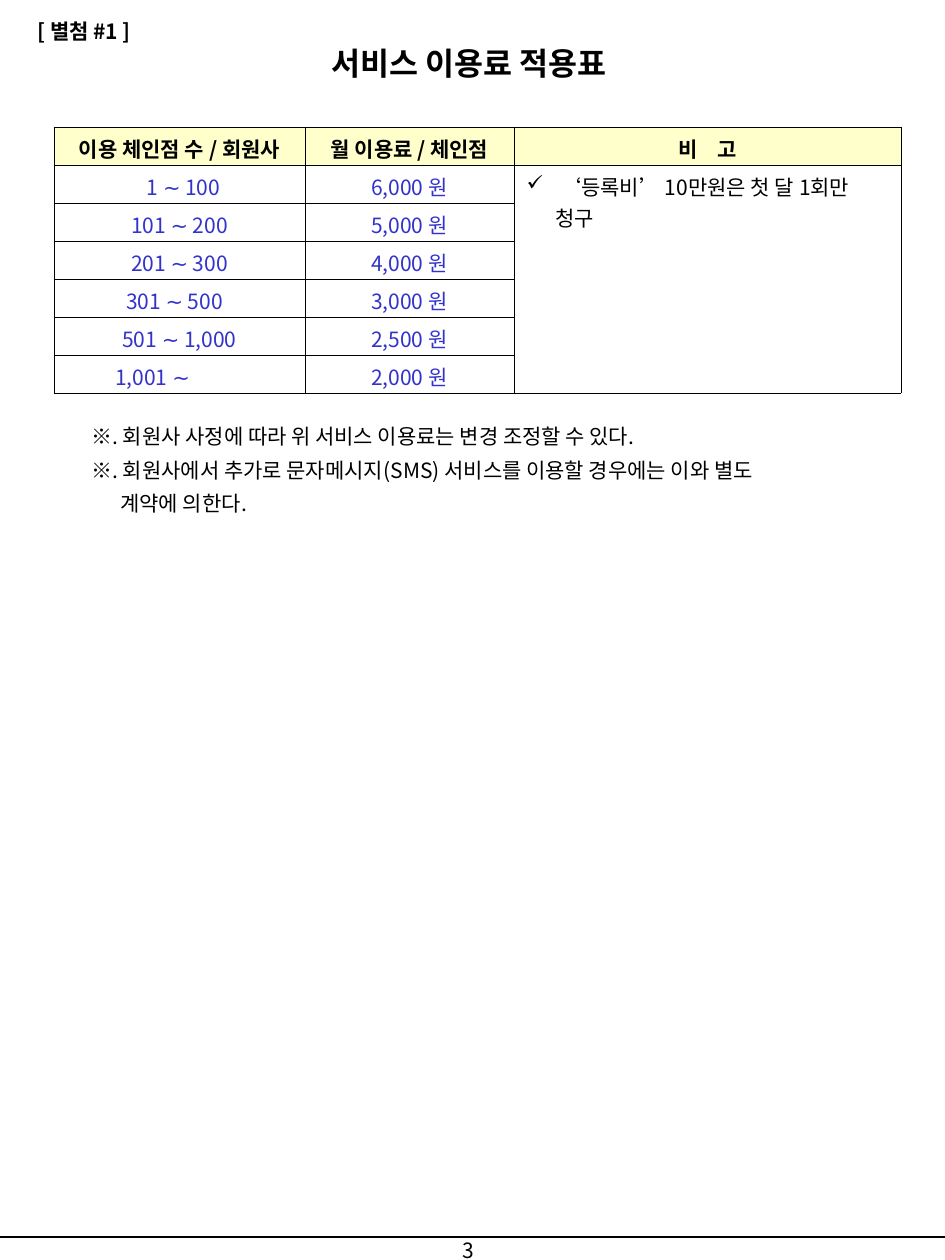
"""Build the service fee schedule slide with its table, notes and page number."""
from lxml import etree
from pptx import Presentation, util as u
from pptx.dml.color import RGBColor
from pptx.enum import shapes, text
from pptx.oxml.ns import qn

PX = u.Inches(1) // 126
THEME = {
    "font": "Noto Sans CJK KR", "ink": RGBColor(0, 0, 0),
    "fee": RGBColor(0x33, 0x33, 0xCC), "head": RGBColor(0xFF, 0xFF, 0xCC),
    "body": 12, "title": 18,
}


def style(p, content, size="body", color="ink", bold=False, before=0, spacing=None):
    p.text = content
    p.space_before = u.Pt(before)
    p.line_spacing = spacing
    f = p.font
    f.name, f.size, f.bold = THEME["font"], u.Pt(THEME[size]), bold
    f.color.rgb = THEME[color]
    etree.SubElement(p._p.pPr.find(qn("a:defRPr")), qn("a:ea"), typeface=THEME["font"])


def add_text(x, y, w, h):
    tf = s.shapes.add_textbox(x * PX, y * PX, w * PX, h * PX).text_frame
    tf.word_wrap = False
    return tf


prs = Presentation()
prs.slide_width, prs.slide_height = 945 * PX, 1260 * PX
s = prs.slides.add_slide(prs.slide_layouts[6])

rule = s.shapes.add_connector(shapes.MSO_CONNECTOR.STRAIGHT, 0, 1237 * PX, 945 * PX, 1237 * PX)
rule.line.color.rgb, rule.line.width = THEME["ink"], u.Pt(1)
etree.SubElement(rule._element.spPr, qn("a:effectLst"))

notes = [
    ("※. 회원사 사정에 따라 위 서비스 이용료는 변경 조정할 수 있다.", 1.1, 0),
    ("※. 회원사에서 추가로 문자메시지(SMS) 서비스를 이용할 경우에는 이와 별도", 0.8, 0),
    ("계약에 의한다.", 0.8, 29),
]
tf = add_text(79, 415, 717, 107)
for i, (content, spacing, indent) in enumerate(notes):
    p = tf.add_paragraph() if i else tf.paragraphs[0]
    style(p, content, before=7.5, spacing=spacing)
    p._p.pPr.set("marL", str(indent * PX))

style(add_text(25, 10, 129, 40).paragraphs[0], "[ 별첨 #1 ]", bold=True, before=7.5, spacing=1.1)
style(add_text(319, 34, 319, 54).paragraphs[0], "서비스 이용료 적용표", "title",
      bold=True, before=11.2, spacing=1.1)

heads = ["이용 체인점 수 / 회원사", "월 이용료 / 체인점", "비 고"]
fees = [
    ("1 ∼ 100", "6,000 원", 8), ("101 ∼ 200", "5,000 원", 0), ("201 ∼ 300", "4,000 원", 0),
    ("301 ∼ 500", "3,000 원", -10), ("501 ∼ 1,000", "2,500 원", 0), ("1,001 ∼", "2,000 원", -54),
]
tbl = s.shapes.add_table(7, 3, 54 * PX, 127 * PX, 847 * PX, 266 * PX).table
tbl.first_row = tbl.horz_banding = False
for col, width in zip(tbl.columns, (251, 209, 387)):
    col.width = width * PX
for row in tbl.rows:
    row.height = 38 * PX

for cell in tbl.iter_cells():
    cell.fill.background()
    cell.vertical_anchor = text.MSO_ANCHOR.MIDDLE
    for i, side in enumerate(("lnL", "lnR", "lnT", "lnB")):
        ln = etree.Element(qn(f"a:{side}"), w=str(u.Pt(0.45)))
        fill = etree.SubElement(ln, qn("a:solidFill"))
        etree.SubElement(fill, qn("a:srgbClr"), val=str(THEME["ink"]))
        cell._tc.tcPr.insert(i, ln)

for c, head in enumerate(heads):
    cell = tbl.cell(0, c)
    cell.fill.solid()
    cell.fill.fore_color.rgb = THEME["head"]
    p = cell.text_frame.paragraphs[0]
    style(p, head, bold=True, before=3)
    p.alignment = text.PP_ALIGN.CENTER
p.runs[0].font._element.set("spc", "440")

for r, (stores, fee, shift) in enumerate(fees, 1):
    for c, content in enumerate((stores, fee)):
        p = tbl.cell(r, c).text_frame.paragraphs[0]
        style(p, content, color="fee", before=3)
        p.alignment = text.PP_ALIGN.CENTER
    tbl.cell(r, 0).margin_left += max(shift, 0) * PX
    tbl.cell(r, 0).margin_right += max(-shift, 0) * PX

remark = tbl.cell(1, 2)
remark.merge(tbl.cell(6, 2))
remark.vertical_anchor = text.MSO_ANCHOR.TOP
p = remark.text_frame.paragraphs[0]
style(p, " ‘등록비’ 10만원은 첫 달 1회만 청구", before=3)
pPr = p._p.pPr
pPr.set("marL", str(29 * PX))
pPr.set("indent", str(-29 * PX))
pPr.find(qn("a:defRPr")).addprevious(etree.Element(qn("a:buChar"), char="✓"))

tf = add_text(290, 1231, 197, 29)
tf.word_wrap = True
style(tf.paragraphs[0], "3")
tf.paragraphs[0].alignment = text.PP_ALIGN.RIGHT

prs.save("out.pptx")
